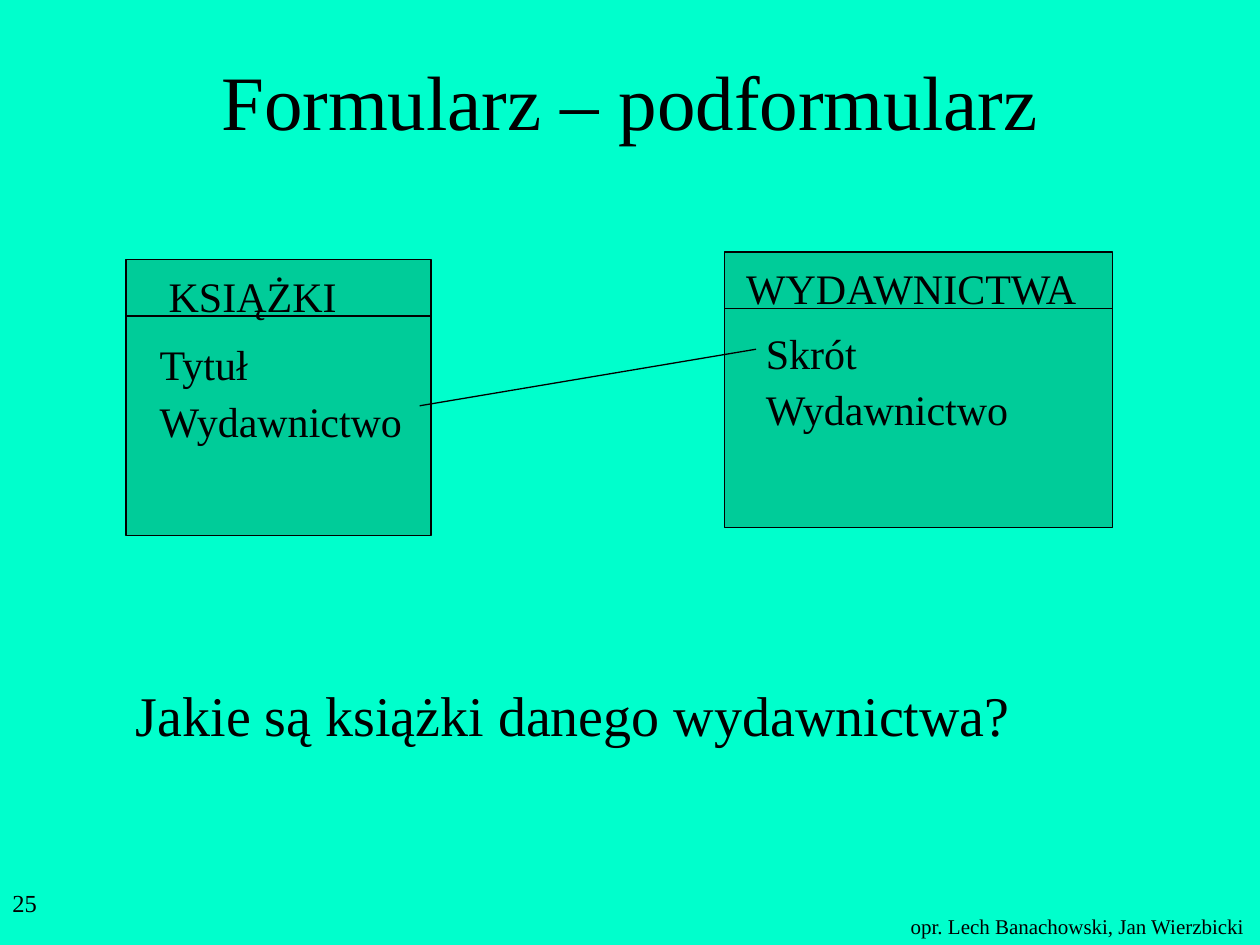
from dataclasses import dataclass

from lxml.etree import SubElement
from pptx import Presentation
from pptx.dml.color import RGBColor
from pptx.enum.shapes import MSO_CONNECTOR as Connector, MSO_SHAPE as Shape
from pptx.enum.text import MSO_ANCHOR as Anchor, PP_ALIGN as Align
from pptx.oxml.ns import qn
from pptx.util import Cm, Pt

FONT = "Times New Roman"
BLACK, BACKGROUND, ENTITY_FILL = "000000", "00FFCC", "00CC99"
ENTITY_HEIGHT, HEADER_HEIGHT, ROW_STEP = 5.56, 1.14, 1.14
LABEL_HEIGHT = 1.27


@dataclass
class Field:
    name: str
    width: float


@dataclass
class Entity:
    """A table box; indents and row_top are measured from its corner, in cm."""
    heading: Field
    fields: list[Field]
    left: float
    top: float
    width: float
    heading_indent: float
    field_indent: float
    row_top: float


ENTITIES = [
    Entity(Field("KSIĄŻKI", 3.89), [Field("Tytuł", 2.34), Field("Wydawnictwo", 5.44)],
           2.54, 5.23, 6.15, 0.61, 0.43, 1.47),
    Entity(Field("WYDAWNICTWA", 7.32), [Field("Skrót", 2.34), Field("Wydawnictwo", 5.44)],
           14.61, 5.08, 7.82, 0.18, 0.58, 1.39),
]


def paint(color_format, color: str) -> None:
    color_format.rgb = RGBColor.from_string(color)


def write(shape, text: str, *, size: float, align=Align.LEFT,
          anchor=Anchor.TOP, wrap: bool = False) -> None:
    frame = shape.text_frame
    frame.word_wrap = wrap
    frame.vertical_anchor = anchor
    paragraph = frame.paragraphs[0]
    paragraph.alignment = align
    run = paragraph.add_run()
    run.text = text
    run.font.name = FONT
    run.font.size = Pt(size)
    paint(run.font.color, BLACK)


def add_text(shapes, text: str, left: float, top: float, width: float,
             height: float, **text_format) -> None:
    box = shapes.add_textbox(Cm(left), Cm(top), Cm(width), Cm(height))
    write(box, text, **text_format)


def add_line(shapes, x1: float, y1: float, x2: float, y2: float) -> None:
    line = shapes.add_connector(Connector.STRAIGHT, Cm(x1), Cm(y1), Cm(x2), Cm(y2))
    line.line.width = Pt(0.75)
    paint(line.line.color, BLACK)
    SubElement(line._element.spPr, qn("a:effectLst"))


def add_entity(shapes, entity: Entity) -> None:
    left, top = entity.left, entity.top
    box = shapes.add_shape(Shape.RECTANGLE, Cm(left), Cm(top),
                           Cm(entity.width), Cm(ENTITY_HEIGHT))
    box.shadow.inherit = False
    box.fill.solid()
    paint(box.fill.fore_color, ENTITY_FILL)
    box.line.width = Pt(0.75)
    paint(box.line.color, BLACK)

    rule = top + HEADER_HEIGHT
    add_line(shapes, left, rule, left + entity.width, rule)
    add_text(shapes, entity.heading.name, left + entity.heading_indent, top + 0.09,
             entity.heading.width, LABEL_HEIGHT, size=24)
    for row, field in enumerate(entity.fields):
        add_text(shapes, field.name, left + entity.field_indent,
                 top + entity.row_top + row * ROW_STEP,
                 field.width, LABEL_HEIGHT, size=24)


def main() -> None:
    presentation = Presentation()
    presentation.slide_width, presentation.slide_height = Cm(25.4), Cm(19.05)
    slide = presentation.slides.add_slide(presentation.slide_layouts[5])
    slide.background.fill.solid()
    paint(slide.background.fill.fore_color, BACKGROUND)

    # Title
    title = slide.shapes.title
    title.left, title.top = Cm(1.9), Cm(0.84)
    title.width, title.height = Cm(21.6), Cm(2.34)
    write(title, "Formularz – podformularz", size=44, align=Align.CENTER,
          anchor=Anchor.MIDDLE, wrap=True)

    # Related tables
    diagram = slide.shapes.add_group_shape().shapes
    for entity in ENTITIES:
        add_entity(diagram, entity)
    add_line(diagram, 8.46, 8.18, 15.24, 7.04)

    # Question
    add_text(slide.shapes, "Jakie są książki danego wydawnictwa?",
             2.49, 13.59, 18.14, 1.63, size=32)

    # Slide number and authors
    add_text(slide.shapes, "25", 0, 17.78, 5.28, 1.27, size=14, wrap=True)
    add_text(slide.shapes, "opr. Lech Banachowski, Jan Wierzbicki",
             18.11, 18.29, 7.26, 0.76, size=12)

    presentation.save("out.pptx")


if __name__ == "__main__":
    main()
